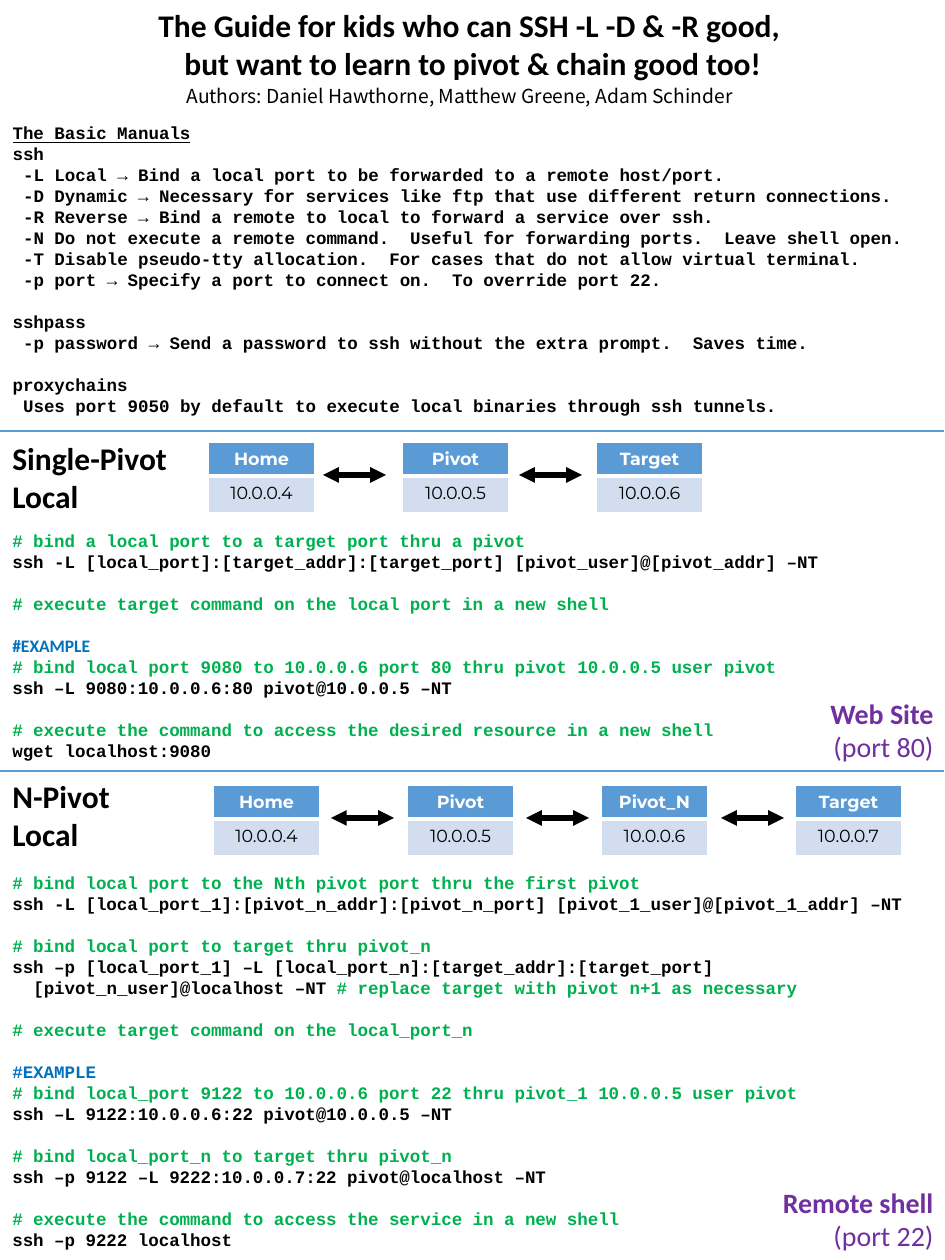
from dataclasses import dataclass
from lxml import etree
from pptx import Presentation, util as u
from pptx.dml.color import RGBColor
from pptx.enum import shapes, text
from pptx.oxml import ns

PIXEL = 914400 / 126


@dataclass(frozen=True)
class Style:
    """Look of one span of text."""
    font: str
    size: int
    color: str = "000000"
    bold: bool = True
    underline: bool = False


class Theme:
    """Colours and type styles of the guide."""
    blue, pale, white, black = "5B9BD5", "D2DEEF", "FFFFFF", "000000"
    title = Style("Calibri", 18)
    authors = Style("Noto Sans CJK KR", 11, bold=False)
    code = Style("Courier New", 10)
    heading = Style("Courier New", 10, underline=True)
    note = Style("Courier New", 10, "00B050")
    example = Style("Courier New", 10, "0070C0")
    example_sans = Style("Calibri", 10, "0070C0")
    tag = Style("Calibri", 16, "7030A0")
    tag_port = Style("Calibri", 16, "7030A0", bold=False)
    host = Style("Montserrat", 10, white)
    address = Style("Montserrat", 10, bold=False)
    line_pitch, letter = 12, 6


def px(value):
    """Turn picture pixels into EMU."""
    return u.Emu(round(value * PIXEL))


def add_child(parent, tag, **attributes):
    """Append one drawing element."""
    return etree.SubElement(parent, ns.qn(tag), attributes)


def add_spans(para, spans):
    """Write (style, words) spans into a paragraph."""
    for style, words in spans:
        span = para.add_run()
        span.text = words
        font = span.font
        font.name, font.size, font.bold = style.font, u.Pt(style.size), style.bold
        font.underline = style.underline
        font.color.rgb = RGBColor.from_string(style.color)


def fill_frame(frame, paragraphs, align=text.PP_ALIGN.LEFT):
    """Write paragraphs from the top of a frame."""
    frame.word_wrap = True
    frame.auto_size = text.MSO_AUTO_SIZE.NONE
    frame.vertical_anchor = text.MSO_ANCHOR.TOP
    for index, spans in enumerate(paragraphs):
        para = frame.add_paragraph() if index else frame.paragraphs[0]
        para.alignment = align
        add_spans(para, spans)


def place(shape, box):
    """Move a shape to a pixel box."""
    shape.left, shape.top, shape.width, shape.height = map(px, box)


def add_text(page, box, paragraphs, align=text.PP_ALIGN.LEFT):
    """Add a text box."""
    shape = page.shapes.add_textbox(*map(px, box))
    fill_frame(shape.text_frame, paragraphs, align)
    return shape


def fill_listing(shape, groups):
    """Write groups of terminal lines with a line of space between groups."""
    lines = [line for group in groups for line in group]
    fill_frame(shape.text_frame, [[(style, words.lstrip(" ") if i == 0 else words)
                                   for i, (style, words) in enumerate(line)] for line in lines])
    starts = [id(group[0]) for group in groups[1:]]
    for para, line in zip(shape.text_frame.paragraphs, lines):
        para.line_spacing = u.Pt(Theme.line_pitch)
        para.space_before = u.Pt(Theme.line_pitch if id(line) in starts else 0)
        first = line[0][1]
        indent = len(first) - len(first.lstrip(" "))
        props = para._p.get_or_add_pPr()
        props.set("marL", str(u.Pt(Theme.letter * indent)))
        props.set("indent", "0")
        add_child(props, "a:buNone")


def add_line(page, start, end, color, width, arrows=False):
    """Draw a straight line, with arrowheads at both ends if asked."""
    line = page.shapes.add_connector(shapes.MSO_CONNECTOR.STRAIGHT, *map(px, start + end))
    line.line.color.rgb = RGBColor.from_string(color)
    line.line.width = u.Pt(width)
    if arrows:
        for tag in ("a:headEnd", "a:tailEnd"):
            add_child(line.line._get_or_add_ln(), tag, type="triangle")
    add_child(line._element.spPr, "a:effectLst")


def set_borders(cell, widths):
    """Give a cell white borders of the given point widths."""
    props = cell._tc.get_or_add_tcPr()
    for index, (side, width) in enumerate(widths.items()):
        border = add_child(props, "a:ln" + side, w=str(u.Pt(width)))
        add_child(add_child(border, "a:solidFill"), "a:srgbClr", val=Theme.white)
        props.insert(index, border)


def add_host(page, left, top, name, address):
    """Add the two-cell table of one host."""
    table = page.shapes.add_table(2, 1, px(left), px(top), px(107), px(71)).table
    table.horz_banding = False
    rows = ((name, Theme.host, Theme.blue, 34, 1, 3),
            (address, Theme.address, Theme.pale, 37, 3, 1))
    for index, (words, style, color, height, above, below) in enumerate(rows):
        table.rows[index].height = px(height)
        cell = table.cell(index, 0)
        cell.fill.solid()
        cell.fill.fore_color.rgb = RGBColor.from_string(color)
        set_borders(cell, {"L": 1, "R": 1, "T": above, "B": below})
        para = cell.text_frame.paragraphs[0]
        para.alignment = text.PP_ALIGN.CENTER
        add_spans(para, [(style, words)])


def add_hosts(page, left, top, names, arrow_gap, arrow_pitch):
    """Add a row of hosts joined by double arrows."""
    for index, name in enumerate(names):
        add_host(page, left + 194 * index, top, name, f"10.0.0.{4 + index}")
        if index:
            start = left + arrow_gap + arrow_pitch * (index - 1)
            add_line(page, (start, top + 33), (start + 63, top + 33), Theme.black, 3, True)


def add_section(page, box, name, label_gap, hosts, code_gap, groups, tag):
    """Add one pivot section inside its box."""
    left, top, width, height = box
    add_line(page, (left - 1, top), (left + width - 2, top), Theme.blue, 1)
    add_text(page, (left, top + label_gap, 200, 89),
             [[(Theme.title, name)], [(Theme.title, "Local")]])
    host_left, host_gap, *rest = hosts
    add_hosts(page, left + host_left, top + host_gap, *rest)
    code = add_text(page, (left, top + code_gap, width, height - code_gap), [])
    fill_listing(code, groups)
    add_text(page, (left + width - 179, top + height - 81, 179, 81),
             [[(Theme.tag, tag[0])], [(Theme.tag_port, tag[1])]], text.PP_ALIGN.RIGHT)


def add_heading(page, box):
    """Place the title and the authors."""
    left, top, width, height = box
    place(page.shapes.title, (left, top, width, 89))
    fill_frame(page.shapes.title.text_frame, [
        [(Theme.title, "The Guide for kids who can SSH -L -D & -R good, ")],
        [(Theme.title, "but want to learn to pivot & chain good too!")]], text.PP_ALIGN.CENTER)
    add_text(page, (left + 174, top + height - 37, 599, 37),
             [[(Theme.authors, "Authors: Daniel Hawthorne, Matthew Greene, Adam Schinder")]])


def add_manuals(page, box):
    """Place the command manuals in the body placeholder."""
    body = page.placeholders[1]
    place(body, box)
    manuals = [
        ["ssh",
         " -L Local → Bind a local port to be forwarded to a remote host/port.",
         " -D Dynamic → Necessary for services like ftp that use different return connections.",
         " -R Reverse → Bind a remote to local to forward a service over ssh.",
         " -N Do not execute a remote command.  Useful for forwarding ports.  Leave shell open.",
         " -T Disable pseudo-tty allocation.  For cases that do not allow virtual terminal.",
         " -p port → Specify a port to connect on.  To override port 22."],
        ["sshpass",
         " -p password → Send a password to ssh without the extra prompt.  Saves time."],
        ["proxychains",
         " Uses port 9050 by default to execute local binaries through ssh tunnels."]]
    groups = [[[(Theme.code, words)] for words in manual] for manual in manuals]
    groups[0].insert(0, [(Theme.heading, "The Basic Manuals")])
    fill_listing(body, groups)


def note(words):
    """Make a comment line."""
    return [(Theme.note, words)]


def code(words):
    """Make a command line."""
    return [(Theme.code, words)]


SINGLE = [
    [note("# bind a local port to a target port thru a pivot"),
     code("ssh -L [local_port]:[target_addr]:[target_port] [pivot_user]@[pivot_addr] –NT")],
    [note("# execute target command on the local port in a new shell")],
    [[(Theme.example_sans, "#EXAMPLE")],
     note("# bind local port 9080 to 10.0.0.6 port 80 thru pivot 10.0.0.5 user pivot"),
     code("ssh –L 9080:10.0.0.6:80 pivot@10.0.0.5 –NT")],
    [note("# execute the command to access the desired resource in a new shell"),
     code("wget localhost:9080")]]
CHAIN = [
    [note("# bind local port to the Nth pivot port thru the first pivot"),
     code("ssh -L [local_port_1]:[pivot_n_addr]:[pivot_n_port] [pivot_1_user]@[pivot_1_addr] –NT")],
    [note("# bind local port to target thru pivot_n"),
     code("ssh –p [local_port_1] –L [local_port_n]:[target_addr]:[target_port]"),
     code("  [pivot_n_user]@localhost –NT ") + note("# replace target with pivot n+1 as necessary")],
    [note("# execute target command on the local_port_n")],
    [[(Theme.example, "#EXAMPLE")],
     note("# bind local_port 9122 to 10.0.0.6 port 22 thru pivot_1 10.0.0.5 user pivot"),
     code("ssh –L 9122:10.0.0.6:22 pivot@10.0.0.5 –NT")],
    [note("# bind local_port_n to target thru pivot_n"),
     code("ssh –p 9122 –L 9222:10.0.0.7:22 pivot@localhost –NT")],
    [note("# execute the command to access the service in a new shell"),
     code("ssh –p 9222 localhost")]]

deck = Presentation()
deck.slide_width, deck.slide_height = px(945), px(1260)
page = deck.slides.add_slide(deck.slide_layouts[1])
add_heading(page, (0, 0, 946, 115))
add_manuals(page, (0, 116, 946, 310))
add_section(page, (0, 431, 946, 340), "Single-Pivot", 2,
            (208, 11, ["Home", "Pivot", "Target"], 115, 196), 93, SINGLE,
            ("Web Site", "(port 80)"))
add_section(page, (0, 771, 946, 489), "N-Pivot", 0,
            (213, 14, ["Home", "Pivot", "Pivot_N", "Target"], 118, 195), 95, CHAIN,
            ("Remote shell", "(port 22)"))
deck.save("out.pptx")
